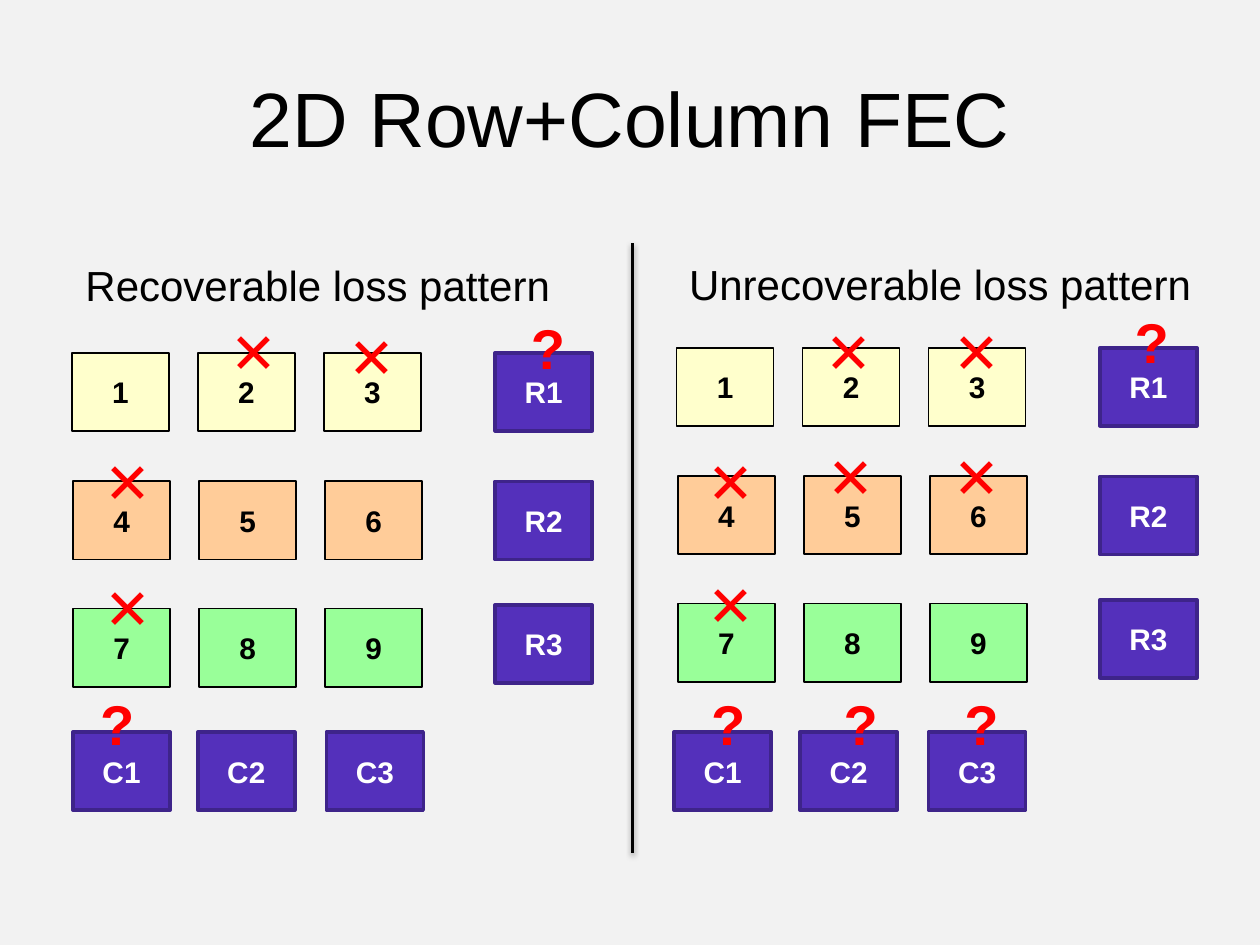
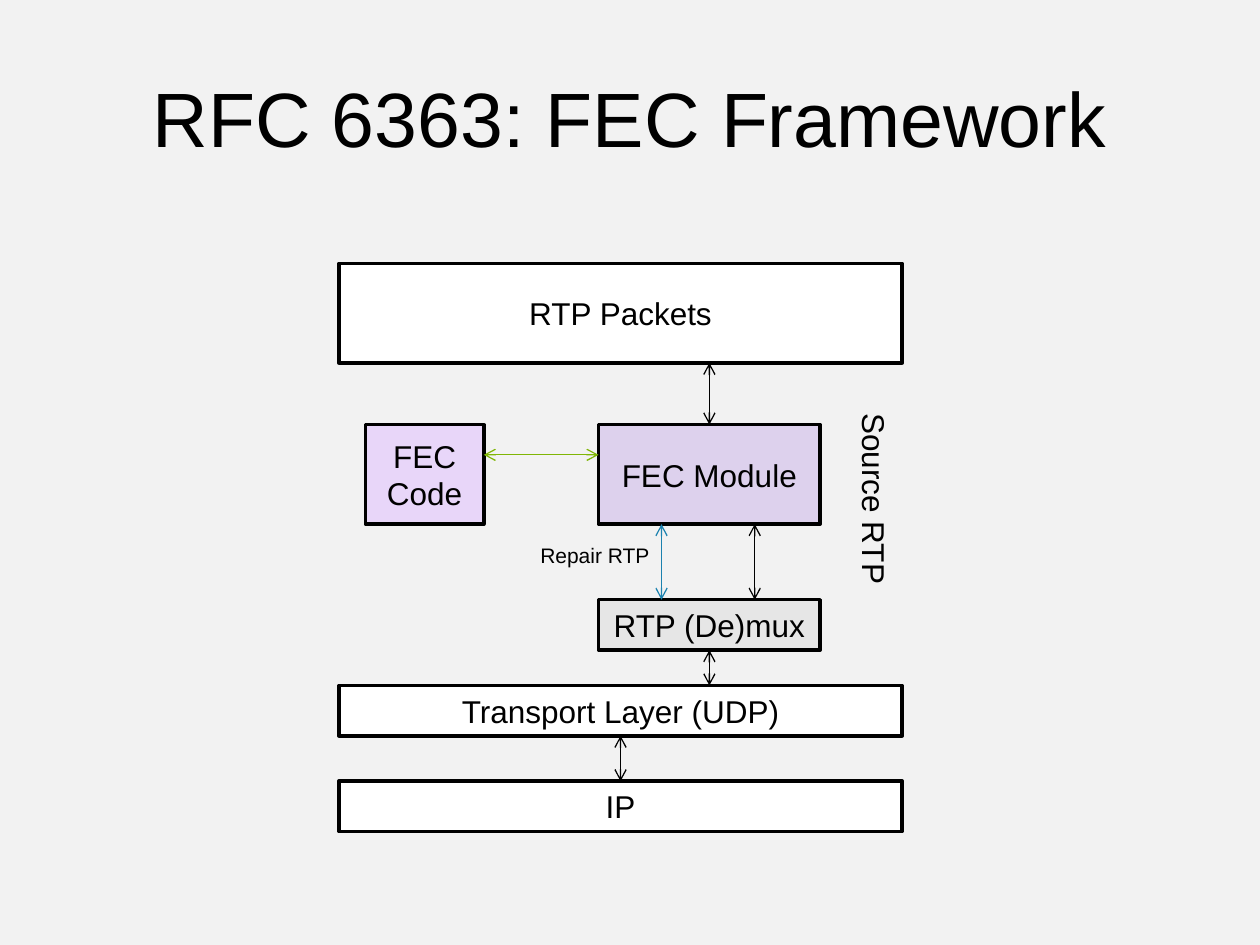
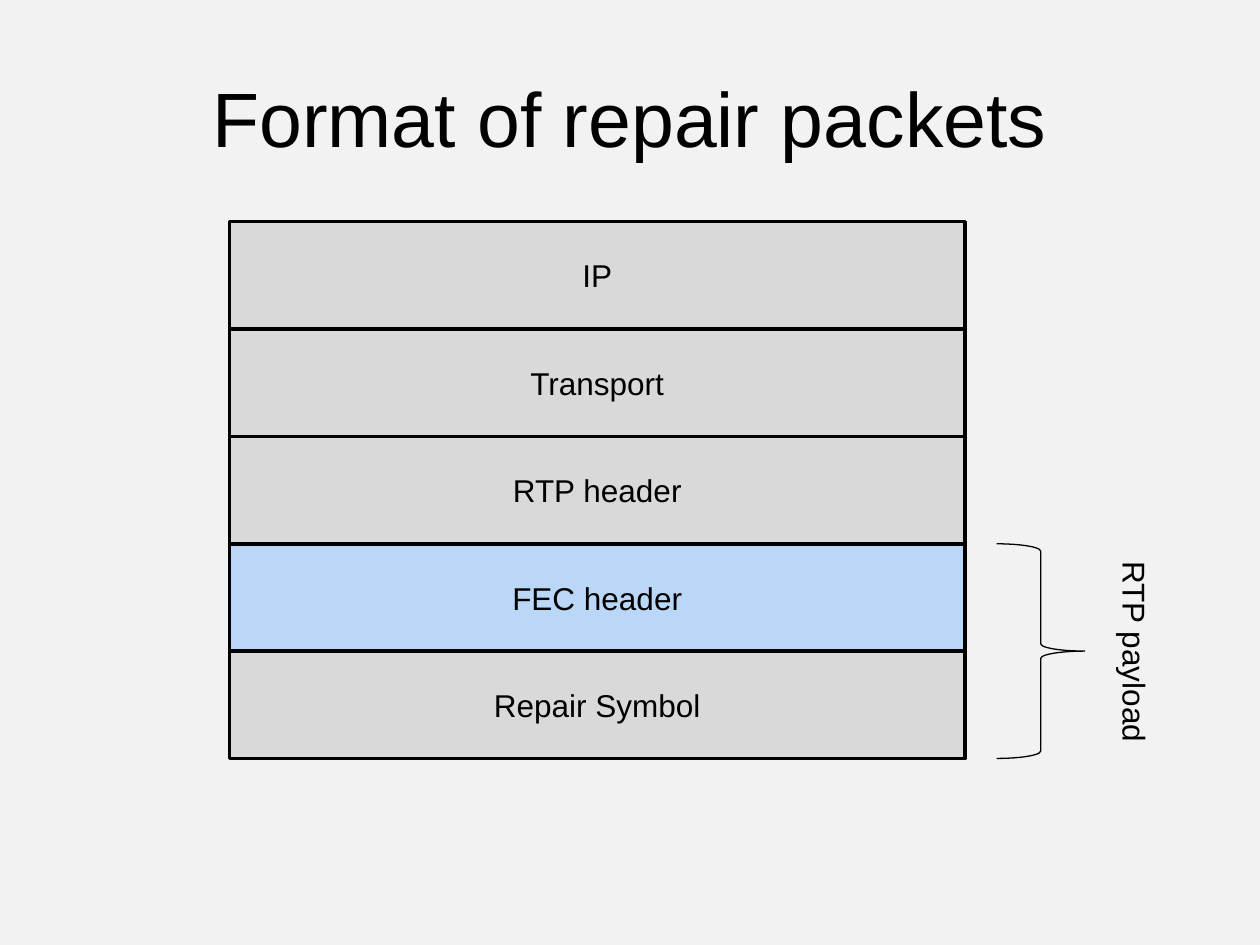
from dataclasses import dataclass

from lxml.etree import SubElement
from pptx import Presentation
from pptx.dml.color import RGBColor
from pptx.enum.shapes import MSO_CONNECTOR, MSO_SHAPE
from pptx.enum.text import MSO_ANCHOR, MSO_AUTO_SIZE, PP_ALIGN
from pptx.oxml.ns import qn
from pptx.util import Inches, Pt


@dataclass(frozen=True)
class Theme:
    """Colours, font, type sizes and line widths shared by the slides."""
    font: str = "Arial"
    title_size: int = 44
    mark_size: int = 32
    heading_size: int = 24
    body_size: int = 18
    cell_size: int = 17
    small_size: int = 12
    thin: float = 0.75
    cell_border: float = 1
    thick: float = 2
    background: str = "F2F2F2"
    ink: str = "000000"
    white: str = "FFFFFF"
    loss: str = "FF0000"
    packet_rows: tuple = ("FFFFCC", "FFCC99", "99FF99")
    repair: str = "5430BB"
    repair_border: str = "3E248A"
    code: str = "E8D6F9"
    module: str = "DDD1ED"
    demux: str = "E6E6E6"
    layer: str = "D9D9D9"
    fec_layer: str = "BBD7F8"
    code_arrow: str = "80B606"
    repair_arrow: str = "1C82AF"


@dataclass(frozen=True)
class Box:
    """A rectangle in inches."""
    left: float
    top: float
    width: float
    height: float

    @property
    def right(self):
        """Right edge."""
        return self.left + self.width

    @property
    def bottom(self):
        """Bottom edge."""
        return self.top + self.height

    def inside(self, dx, dy, width, height):
        """Return a box offset from this box's top left corner."""
        return Box(self.left + dx, self.top + dy, width, height)

    def lengths(self):
        """Return left, top, width and height as slide lengths."""
        return [Inches(v) for v in (self.left, self.top, self.width, self.height)]


THEME = Theme()
TITLE_BOX = Box(0.5, 0.3, 9, 1.25)


def rgb(color):
    """Turn a hex colour into an RGBColor."""
    return RGBColor.from_string(color)


def write(shape, text, size=THEME.body_size, color=THEME.ink, bold=False,
          align=PP_ALIGN.CENTER, anchor=MSO_ANCHOR.MIDDLE, wrap=True, grow=False):
    """Write formatted text in a shape."""
    frame = shape.text_frame
    frame.word_wrap = wrap
    frame.vertical_anchor = anchor
    frame.auto_size = MSO_AUTO_SIZE.SHAPE_TO_FIT_TEXT if grow else MSO_AUTO_SIZE.NONE
    paragraph = frame.paragraphs[0]
    paragraph.alignment = align
    run = paragraph.add_run()
    run.text = text
    run.font.name = THEME.font
    run.font.size = Pt(size)
    run.font.bold = bold
    run.font.color.rgb = rgb(color)


def add_label(slide, box, text, **text_format):
    """Add a text box that grows with its text, and return it."""
    label = slide.shapes.add_textbox(*box.lengths())
    settings = dict(align=PP_ALIGN.LEFT, anchor=MSO_ANCHOR.TOP, wrap=False, grow=True)
    write(label, text, **(settings | text_format))
    return label


def add_block(slide, box, text, fill, border=THEME.ink, border_width=THEME.thick,
              **text_format):
    """Add a filled, bordered rectangle with centred text."""
    block = slide.shapes.add_shape(MSO_SHAPE.RECTANGLE, *box.lengths())
    block.shadow.inherit = False
    block.fill.solid()
    block.fill.fore_color.rgb = rgb(fill)
    block.line.color.rgb = rgb(border)
    block.line.width = Pt(border_width)
    write(block, text, **text_format)


def add_line(slide, start, end, color=THEME.ink, width=THEME.thin,
             arrows=False, shadow=False):
    """Add a straight line, optionally with two arrowheads or a soft shadow."""
    line = slide.shapes.add_connector(
        MSO_CONNECTOR.STRAIGHT, *[Inches(v) for v in (*start, *end)])
    line.line.color.rgb = rgb(color)
    line.line.width = Pt(width)
    properties = line.element.spPr
    if arrows:
        for tag in ("a:headEnd", "a:tailEnd"):
            SubElement(properties.find(qn("a:ln")), qn(tag), type="arrow")
    effects = SubElement(properties, qn("a:effectLst"))
    if shadow:
        outer = SubElement(effects, qn("a:outerShdw"), blurRad=str(Pt(3.1)),
                           dist=str(Pt(1.6)), dir="5400000", rotWithShape="0")
        tint = SubElement(outer, qn("a:srgbClr"), val=color)
        SubElement(tint, qn("a:alpha"), val="38000")


def add_titled_slide(deck, title):
    """Add a blank slide with the shared title style."""
    slide = deck.slides.add_slide(deck.slide_layouts[6])
    add_label(slide, TITLE_BOX, title, size=THEME.title_size, wrap=True, grow=False,
              align=PP_ALIGN.CENTER, anchor=MSO_ANCHOR.MIDDLE)
    return slide


def loss_panel(slide, box, heading, heading_box, column_repairs, crosses, questions):
    """Draw a 3 by 3 packet grid, its repair packets and its loss marks."""
    cell_width, cell_height = 0.77, 0.62
    row_tops = (0, 1.02, 2.03)
    cell_text = dict(size=THEME.cell_size, bold=True, wrap=False)
    repair_style = dict(fill=THEME.repair, border=THEME.repair_border,
                        color=THEME.white, **cell_text)
    add_label(slide, heading_box, heading, size=THEME.heading_size, wrap=True)

    for row, (top, fill) in enumerate(zip(row_tops, THEME.packet_rows)):
        indent = 0.01 if row else 0
        for column in range(3):
            add_block(slide, box.inside(indent + column, top, cell_width, cell_height),
                      str(3 * row + column + 1), fill,
                      border_width=THEME.cell_border, **cell_text)
    for number, top in enumerate((0, 1.02, 2), 1):
        add_block(slide, box.inside(3.36, top, cell_width, cell_height),
                  f"R{number}", **repair_style)
    for number, left in enumerate(column_repairs, 1):
        add_block(slide, Box(left, 5.81, cell_width, cell_height),
                  f"C{number}", **repair_style)

    for symbol, width, places in (("\u2715", 0.65, crosses), ("?", 0.48, questions)):
        for dx, dy in places:
            add_label(slide, box.inside(dx, dy, width, 0.64), symbol,
                      size=THEME.mark_size, color=THEME.loss, bold=True,
                      align=PP_ALIGN.CENTER)


def loss_slide(deck):
    """Compare a recoverable and an unrecoverable loss pattern."""
    slide = add_titled_slide(deck, "2D Row+Column FEC")
    loss_panel(slide, Box(0.57, 2.8, 4.13, 3.63), "Recoverable loss pattern",
               Box(0.58, 2.01, 4, 0.5), column_repairs=(0.58, 1.57, 2.59),
               crosses=((1.12, -0.33), (2.06, -0.29), (0.12, 0.7), (0.12, 1.7)),
               questions=((3.54, -0.36), (0.12, 2.62)))
    loss_panel(slide, Box(5.37, 2.76, 4.13, 3.67), "Unrecoverable loss pattern",
               Box(5.37, 2, 4.38, 0.5), column_repairs=(5.35, 6.35, 7.37),
               crosses=((1.04, -0.29), (2.06, -0.29), (0.11, 0.74), (1.06, 0.7),
                        (2.06, 0.7), (0.11, 1.72)),
               questions=((3.53, -0.37), (0.17, 2.66), (1.22, 2.66), (2.18, 2.66)))
    add_line(slide, (5.02, 1.93), (5.02, 6.77), width=THEME.thick, shadow=True)


def framework_diagram(slide, box):
    """Draw the protocol stack with the FEC module in its middle."""
    tall, low = 0.79, 0.4
    packets = box.inside(0, 0, box.width, tall)
    code = box.inside(0.21, 1.28, 0.94, tall)
    module = box.inside(2.06, 1.28, 1.76, tall)
    demux = box.inside(2.06, 2.67, 1.76, low)
    transport = box.inside(0, 3.35, box.width, low)
    network = box.inside(0, 4.11, box.width, low)
    for part, text, fill in (
            (packets, "RTP Packets", THEME.white),
            (code, "FEC Code", THEME.code),
            (module, "FEC Module", THEME.module),
            (demux, "RTP (De)mux", THEME.demux),
            (transport, "Transport Layer (UDP)", THEME.white),
            (network, "IP", THEME.white)):
        add_block(slide, part, text, fill)

    module_axis = module.left + module.width / 2
    for x, upper, lower, color in (
            (module_axis, packets, module, THEME.ink),
            (module.left + 0.5, module, demux, THEME.repair_arrow),
            (module.left + 1.24, module, demux, THEME.ink),
            (module_axis, demux, transport, THEME.ink),
            (box.left + box.width / 2, transport, network, THEME.ink)):
        add_line(slide, (x, upper.bottom), (x, lower.top), color, arrows=True)
    code_level = code.top + 0.24
    add_line(slide, (code.right, code_level), (module.left, code_level),
             THEME.code_arrow, arrows=True)

    add_label(slide, box.inside(1.5, 2.17, 1.1, 0.3), "Repair RTP",
              size=THEME.small_size)
    source = add_label(slide, box.inside(3.44, 1.7, 1.62, 0.4), "Source RTP")
    source.rotation = 90


def framework_slide(deck):
    """Show the FEC framework."""
    slide = add_titled_slide(deck, "RFC 6363: FEC Framework")
    framework_diagram(slide, Box(2.69, 2.09, 4.47, 4.51))


def packet_stack(slide, box):
    """Draw the layers of a repair packet and bracket its payload."""
    layers = ("IP", "Transport", "RTP header", "FEC header", "Repair Symbol")
    height = box.height / len(layers)
    for index, text in enumerate(layers):
        fill = THEME.fec_layer if text == "FEC header" else THEME.layer
        add_block(slide, box.inside(0, index * height, box.width, height), text, fill)

    payload_top = layers.index("FEC header") * height
    brace_box = box.inside(box.width + 0.25, payload_top, 0.7, 2 * height)
    brace = slide.shapes.add_shape(MSO_SHAPE.RIGHT_BRACE, *brace_box.lengths())
    brace.shadow.inherit = False
    brace.fill.background()
    brace.line.color.rgb = rgb(THEME.ink)
    brace.line.width = Pt(THEME.thin)

    payload = add_label(slide, brace_box.inside(0.8, 0.04, 0.5, 1.6), "RTP payload")
    payload.element.find(".//" + qn("a:bodyPr")).set("vert", "vert")


def packet_slide(deck):
    """Show the format of repair packets."""
    slide = add_titled_slide(deck, "Format of repair packets")
    packet_stack(slide, Box(1.82, 1.76, 5.84, 4.26))


def main():
    """Build and save the deck."""
    deck = Presentation()
    deck.slide_width, deck.slide_height = Inches(10), Inches(7.5)
    backdrop = deck.slide_master.background.fill
    backdrop.solid()
    backdrop.fore_color.rgb = rgb(THEME.background)
    loss_slide(deck)
    framework_slide(deck)
    packet_slide(deck)
    deck.save("out.pptx")


main()
